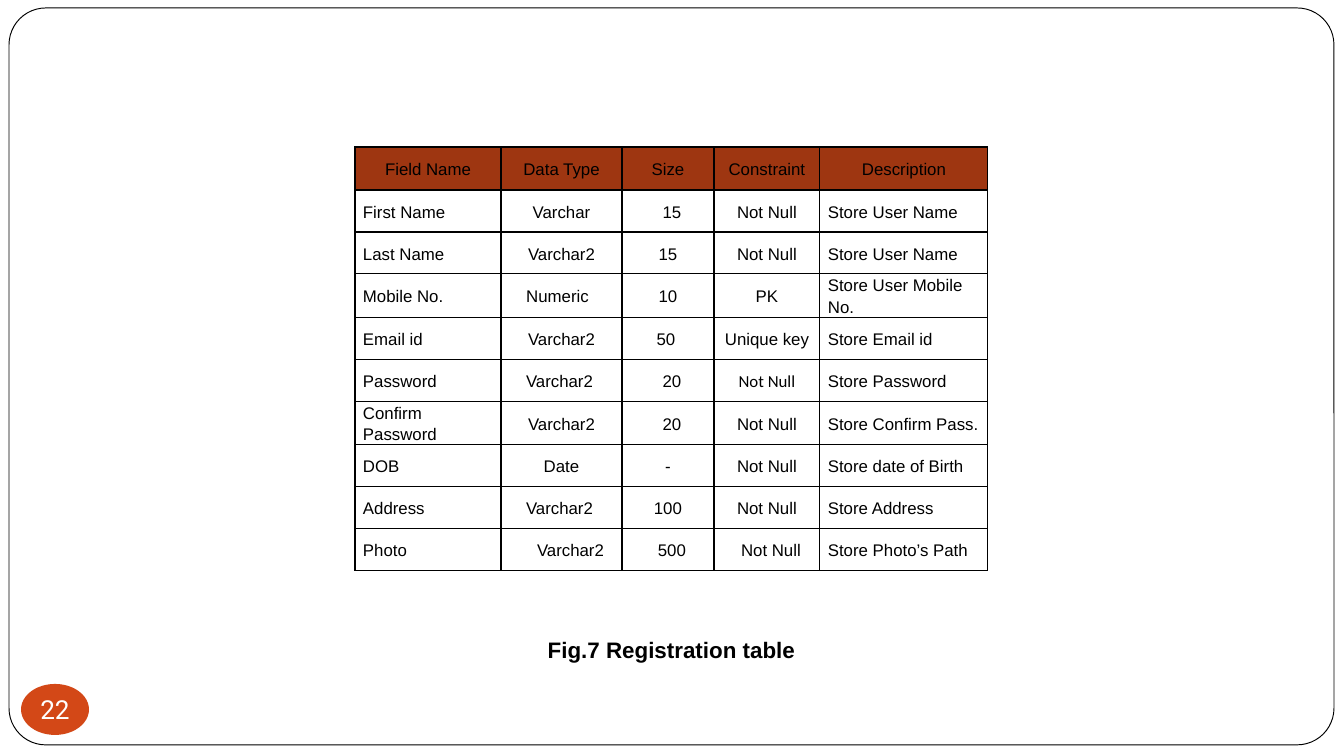
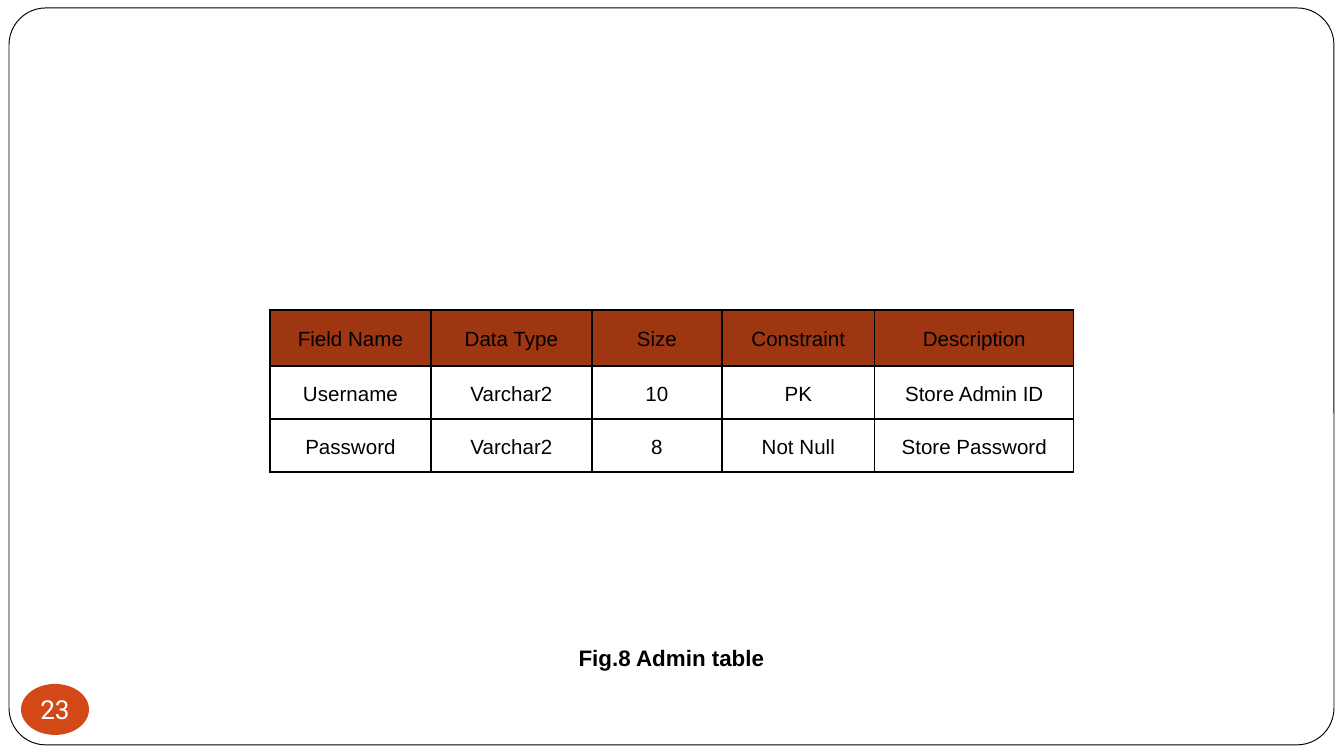
from lxml import etree
from pptx import Presentation
from pptx import util as u
from pptx.dml.color import RGBColor
from pptx.enum import shapes, text
from pptx.oxml import ns

SCALE = 914400 / 134.4
BLACK, WHITE = "000000", "FFFFFF"
RUST, ORANGE = "9E3611", "D34817"
MID, LEFT = text.PP_ALIGN.CENTER, text.PP_ALIGN.LEFT

HEAD = ["Field Name", "Data Type", "Size", "Constraint", "Description"]
USERS = [
    HEAD,
    ["First Name", "Varchar", "15", "Not Null", "Store User Name"],
    ["Last Name", "Varchar2", "15", "Not Null", "Store User Name"],
    ["Mobile No.", "Numeric", "10", "PK", "Store User Mobile No."],
    ["Email id", "Varchar2", "50", "Unique key", "Store Email id"],
    ["Password", "Varchar2", "20", "Not Null", "Store Password"],
    ["Confirm Password", "Varchar2", "20", "Not Null", "Store Confirm Pass."],
    ["DOB", "Date", "-", "Not Null", "Store date of Birth"],
    ["Address", "Varchar2", "100", "Not Null", "Store Address"],
    ["Photo", "Varchar2", "500", "Not Null", "Store Photo’s Path"],
]
ADMINS = [
    HEAD,
    ["Username", "Varchar2", "10", "PK", "Store Admin ID"],
    ["Password", "Varchar2", "8", "Not Null", "Store Password"],
]
# Sideways shift in px of single centred cells, by (row, column).
SHIFTS = {(1, 2): 4, (5, 2): 4, (6, 2): 4, (9, 1): 9, (9, 2): 4, (9, 3): 4,
          (3, 1): -4, (4, 2): -2, (5, 1): -2, (8, 1): -2}


def px(n):
    return u.Emu(round(n * SCALE))


def rgb(code):
    return RGBColor.from_string(code)


def write(frame, words, size=12, font="Arial", color=BLACK, bold=False,
          align=MID, space=1.0, after=0):
    para = frame.paragraphs[0]
    para.alignment = align
    para.line_spacing = space
    para.space_before, para.space_after = u.Pt(0), u.Pt(after)
    run = para.add_run()
    run.text = words
    run.font.size, run.font.name, run.font.bold = u.Pt(size), font, bold
    run.font.color.rgb = rgb(color)


def trim(frame, wrap=True):
    """Centre the text upright and drop the insets."""
    frame.margin_left = frame.margin_right = 0
    frame.margin_top = frame.margin_bottom = 0
    frame.vertical_anchor = text.MSO_ANCHOR.MIDDLE
    frame.auto_size = text.MSO_AUTO_SIZE.NONE
    frame.word_wrap = wrap


def shape(slide, kind, box, fill, line=None):
    item = slide.shapes.add_shape(kind, *map(px, box))
    item.shadow.inherit = False
    item.fill.solid()
    item.fill.fore_color.rgb = rgb(fill)
    if line:
        item.line.color.rgb = rgb(line)
        item.line.width = u.Pt(0.5)
    else:
        item.line.fill.background()
    return item


def border(deck, slide):
    """Draw the rounded border and move it to the master, behind all else."""
    item = shape(slide, shapes.MSO_SHAPE.ROUNDED_RECTANGLE,
                 (9, 8, 1325, 737), WHITE, BLACK)
    item.adjustments[0] = 0.05
    item.element.nvSpPr.cNvPr.set("id", "99")
    deck.slide_master.shapes[0].element.addprevious(item.element)


def badge(slide, number):
    item = shape(slide, shapes.MSO_SHAPE.OVAL, (21, 684, 68, 51), ORANGE)
    trim(item.text_frame, wrap=False)
    write(item.text_frame, str(number), size=14, font="Roboto", color=WHITE)


def caption(slide, words, top):
    item = slide.shapes.title
    item.left, item.top, item.width, item.height = map(px, (494, top, 355, 49))
    trim(item.text_frame)
    write(item.text_frame, words, bold=True)


def edge(cell):
    props = cell._tc.get_or_add_tcPr()
    for place, side in enumerate(("lnL", "lnR", "lnT", "lnB")):
        line = etree.Element(ns.qn("a:" + side), w=str(u.Pt(0.75)))
        fill = etree.SubElement(line, ns.qn("a:solidFill"))
        etree.SubElement(fill, ns.qn("a:srgbClr"), val=BLACK)
        props.insert(place, line)


def grid(slide, rows, left, top, cols, head, body, size, pad,
         flush=(), shifts=None, fonts=None):
    """Add a table; flush lists the columns whose body text is left aligned."""
    tall = [head] + [body] * (len(rows) - 1)
    box = (left, top, sum(cols), sum(tall))
    table = slide.shapes.add_table(len(rows), len(cols), *map(px, box)).table
    table.first_row = table.horz_banding = False
    for col, wide in zip(table.columns, cols):
        col.width = px(wide)
    for r, row in enumerate(rows):
        table.rows[r].height = px(tall[r])
        for c, words in enumerate(row):
            cell = table.cell(r, c)
            move = (shifts or {}).get((r, c), 0)
            cell.margin_left = px(pad + 2 * max(move, 0))
            cell.margin_right = px(pad + 2 * max(-move, 0))
            cell.margin_top = cell.margin_bottom = 0
            cell.vertical_anchor = text.MSO_ANCHOR.MIDDLE
            if r:
                cell.fill.background()
            else:
                cell.fill.solid()
                cell.fill.fore_color.rgb = rgb(RUST)
            edge(cell)
            write(cell.text_frame, words, size=size, space=1.15, after=10,
                  font=(fonts or {}).get((r, c), "Arial"),
                  align=LEFT if r and c in flush else MID)


def page(deck, number, title, top):
    slide = deck.slides.add_slide(deck.slide_layouts[5])
    caption(slide, title, top)
    badge(slide, number)
    return slide


def main():
    deck = Presentation()
    deck.slide_width, deck.slide_height = px(1344), px(756)

    slide = page(deck, 22, "Fig.7 Registration table", 625)
    border(deck, slide)
    grid(slide, USERS, 355, 147, [146, 121, 92, 106, 168], head=43, body=42,
         size=9, pad=8, flush=(0, 4), shifts=SHIFTS, fonts={(5, 3): "Calibri"})

    slide = page(deck, 23, "Fig.8 Admin table", 633)
    grid(slide, ADMINS, 270, 310, [161, 161, 130, 153, 199], head=56, body=53,
         size=11, pad=9)

    deck.save("out.pptx")


if __name__ == "__main__":
    main()
